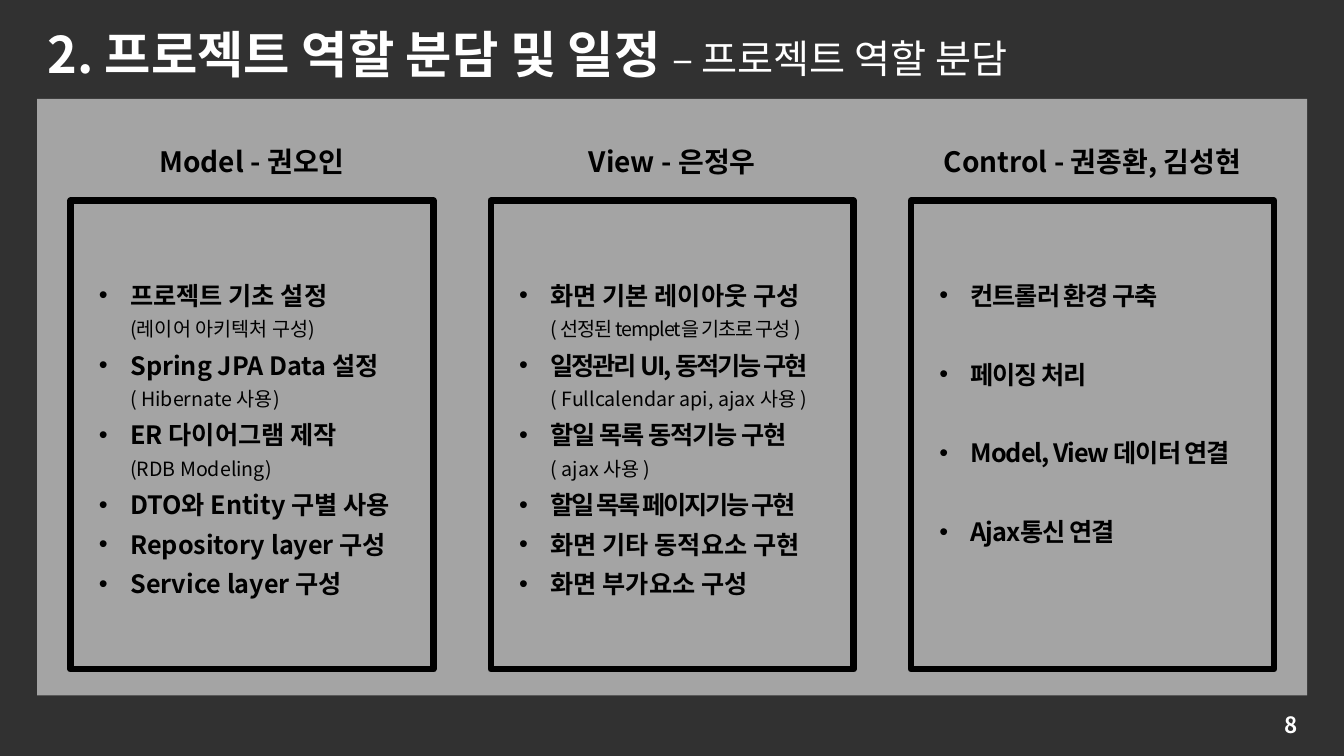
import copy
import pptx
import pptx.util
import pptx.dml.color
import pptx.enum.shapes
import pptx.enum.text
import pptx.oxml
import pptx.oxml.ns

Pt = pptx.util.Pt
ALIGN = pptx.enum.text.PP_ALIGN
ANCHOR = pptx.enum.text.MSO_ANCHOR
FONT = "Noto Sans CJK KR"
COLORS = {"backdrop": "0D0D0D", "panel": "F2F2F2", "light": "FFFFFF", "dark": "000000"}
TITLE = ("2. 프로젝트 역할 분담 및 일정 ", "– 프로젝트 역할 분담")
PAGE = "8"

# Each item: heading, heading spacing, detail, detail spacing
ROLES = [
    {"name": "Model - 권오인", "gap": 0, "items": [
        ("프로젝트 기초 설정", 0, "(레이어 아키텍처 구성)", 0),
        ("Spring JPA Data 설정", 0, "( Hibernate 사용)", 0),
        ("ER 다이어그램 제작", 0, "(RDB Modeling)", 0),
        ("DTO와 Entity 구별 사용", 0, "", 0),
        ("Repository layer 구성", 0, "", 0),
        ("Service layer 구성", 0, "", 0)]},
    {"name": "View - 은정우", "gap": 0, "items": [
        ("화면 기본 레이아웃 구성", 0, "( 선정된 templet을 기초로 구성 )", -0.8),
        ("일정관리 UI, 동적기능 구현", -1.5, "( Fullcalendar api, ajax 사용 )", 0),
        ("할일 목록 동적기능 구현", -0.8, "( ajax 사용 )", 0),
        ("할일 목록 페이지기능 구현", -1.5, "", 0),
        ("화면 기타 동적요소 구현", 0, "", 0),
        ("화면 부가요소 구성", 0, "", 0)]},
    {"name": "Control - 권종환, 김성현", "gap": 28.2, "items": [
        ("컨트롤러 환경 구축", -0.8, "", 0),
        ("페이징 처리", -0.8, "", 0),
        ("Model, View 데이터 연결", -0.8, "", 0),
        ("Ajax통신 연결", -0.8, "", 0)]},
]

SLIDE_W, SLIDE_H = 960, 540
BOX_X, BOX_Y, BOX_W, BOX_H, BOX_STEP = 50.4, 143.3, 259.2, 334.8, 300.2
LIST_W, NAME_W = 233.3, 265
INDENT = 22.5


def add_xml(parent, tag, **attrs):
    el = pptx.oxml.parse_xml(f'<a:{tag} {pptx.oxml.ns.nsdecls("a")}/>')
    for key, value in attrs.items():
        el.set(key, value)
    parent.append(el)


def add_text(p, text, size=18, color="dark", bold=True, spacing=0):
    r = p.add_run()
    r.text = text
    r.font.size, r.font.bold, r.font.name = Pt(size), bold, FONT
    r.font.color.rgb = pptx.dml.color.RGBColor.from_string(COLORS[color])
    rPr = r._r.get_or_add_rPr()
    rPr.set("spc", str(round(spacing * 100)))
    add_xml(rPr, "ea", typeface=FONT)
    return r


def place(sp, x, y, w, h, anchor=ANCHOR.TOP):
    sp.left, sp.top, sp.width, sp.height = Pt(x), Pt(y), Pt(w), Pt(h)
    tf = sp.text_frame
    tf.word_wrap, tf.vertical_anchor = True, anchor
    tf.auto_size = pptx.enum.text.MSO_AUTO_SIZE.NONE
    return tf


def add_label(s, text, x, y, w, h, align, anchor=ANCHOR.TOP, **fmt):
    tf = place(s.shapes.add_textbox(0, 0, 0, 0), x, y, w, h, anchor)
    tf.paragraphs[0].alignment = align
    add_text(tf.paragraphs[0], text, **fmt)


def add_rect(s, x, y, w, h, fill=None, alpha=100):
    sp = s.shapes.add_shape(pptx.enum.shapes.MSO_SHAPE.RECTANGLE, Pt(x), Pt(y), Pt(w), Pt(h))
    sp.shadow.inherit = False
    if fill:
        sp.fill.solid()
        sp.fill.fore_color.rgb = pptx.dml.color.RGBColor.from_string(COLORS[fill])
        color = sp.element.find(".//" + pptx.oxml.ns.qn("a:srgbClr"))
        add_xml(color, "alpha", val=str(alpha * 1000))
        sp.line.fill.background()
    else:
        sp.fill.background()
        sp.line.color.rgb = pptx.dml.color.RGBColor.from_string(COLORS["dark"])
        sp.line.width = Pt(4.5)
    return sp


def fill_list(tf, items, gap):
    for i, (task, spacing, detail, detail_spacing) in enumerate(items):
        p = tf.paragraphs[0] if i == 0 else tf.add_paragraph()
        p.alignment, p.line_spacing = ALIGN.LEFT, 1.3
        p.space_before, p.space_after = Pt(gap if i else 0), Pt(0)
        pPr = p._p.get_or_add_pPr()
        pPr.set("marL", str(Pt(INDENT)))
        pPr.set("indent", str(-Pt(INDENT)))
        add_xml(pPr, "buFont", typeface="Arial")
        add_xml(pPr, "buChar", char="•")
        r = add_text(p, task, spacing=spacing)
        if detail:
            p.add_line_break()
            p._p[-1].append(copy.deepcopy(r._r.rPr))
            add_text(p, detail, size=14, bold=False, spacing=detail_spacing)


def main():
    prs = pptx.Presentation()
    prs.slide_width, prs.slide_height = Pt(SLIDE_W), Pt(SLIDE_H)
    s = prs.slides.add_slide(prs.slide_layouts.get_by_name("Comparison"))
    title, *bodies, spare = list(s.placeholders)
    spare.element.getparent().remove(spare.element)

    for sp in (add_rect(s, 0, 0, SLIDE_W, SLIDE_H, "backdrop", 85),
               add_rect(s, 26.6, 70.6, 907.2, 426.2, "panel", 60)):
        title.element.addprevious(sp.element)

    p = place(title, 26.6, 13, 828.7, 51).paragraphs[0]
    p.alignment = ALIGN.LEFT
    add_text(p, TITLE[0], size=36, color="light")
    add_text(p, TITLE[1], size=28, color="light", bold=False)
    add_label(s, PAGE, 717.8, 503.3, 216, 28.8, ALIGN.RIGHT, ANCHOR.MIDDLE, size=16, color="light")

    for i, (role, body) in enumerate(zip(ROLES, bodies)):
        x = BOX_X + i * BOX_STEP
        center = x + BOX_W / 2
        add_rect(s, x, BOX_Y, BOX_W, BOX_H)
        add_label(s, role["name"], center - NAME_W / 2, 100, NAME_W, 31.5, ALIGN.CENTER, size=20)
        fill_list(place(body, center - LIST_W / 2, 190, LIST_W, 243), role["items"], role["gap"])

    prs.save("out.pptx")


if __name__ == "__main__":
    main()
